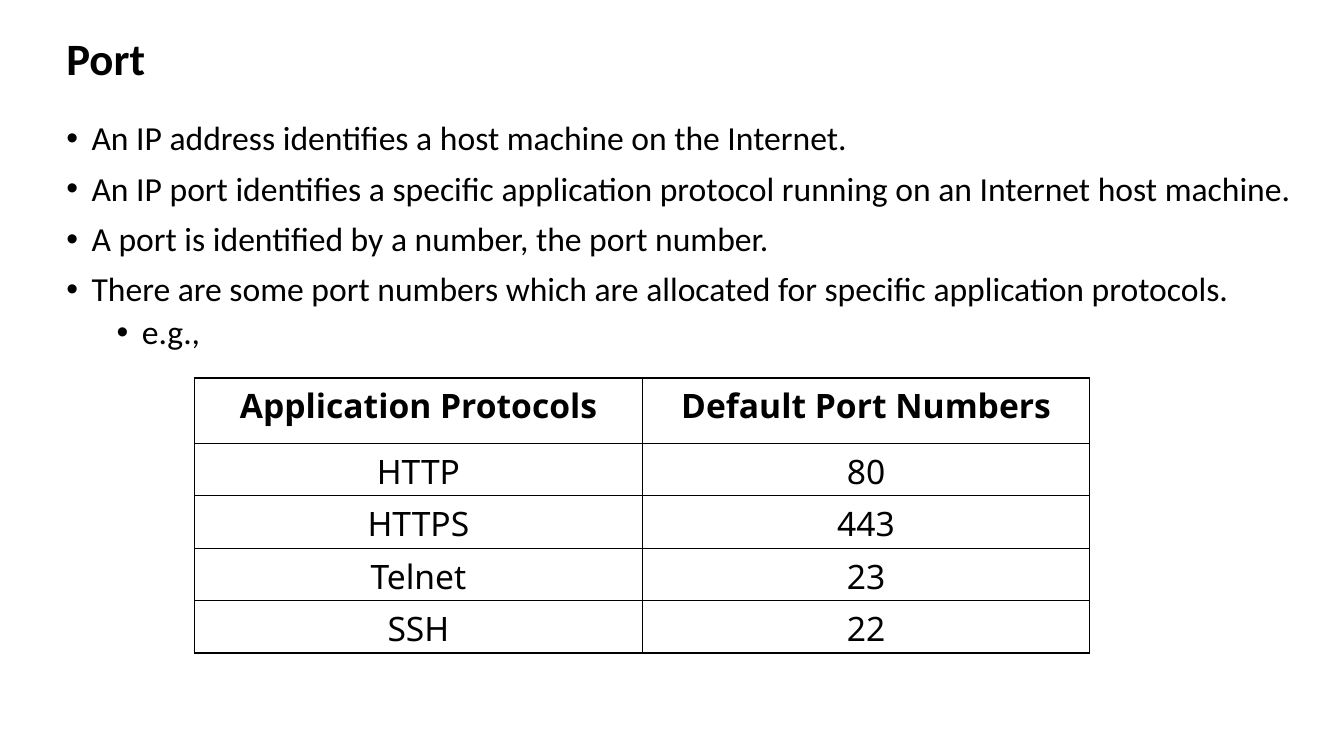
from dataclasses import dataclass

from lxml.etree import SubElement
from pptx import Presentation
from pptx.dml.color import RGBColor
from pptx.enum.text import MSO_ANCHOR, PP_ALIGN
from pptx.oxml import parse_xml
from pptx.oxml.ns import nsdecls, qn
from pptx.util import Inches, Pt


@dataclass(frozen=True)
class Theme:
    ink: str = "000000"
    paper: str = "FFFFFF"
    text_font: str = "Calibri"
    table_font: str = "Noto Sans"
    title_size: int = 32
    body_size: int = 24
    border_width: int = 1


theme = Theme()


def write(paragraph, text, font=theme.text_font, size=theme.body_size, bold=False,
          align=PP_ALIGN.LEFT, line_spacing=1.0, before=0, bullet_indent=None):
    paragraph.alignment = align
    paragraph.line_spacing = line_spacing
    paragraph.space_before = Pt(before)
    run = paragraph.add_run()
    run.text = text
    run.font.name = font
    run.font.size = Pt(size)
    run.font.bold = bold
    run.font.color.rgb = RGBColor.from_string(theme.ink)
    if bullet_indent is not None:
        properties = paragraph._p.get_or_add_pPr()
        properties.set("marL", str(Inches(bullet_indent)))
        properties.set("indent", str(Inches(-0.25)))
        SubElement(properties, qn("a:buFont"), typeface="Arial")
        SubElement(properties, qn("a:buChar"), char="•")


presentation = Presentation()
presentation.slide_width = Inches(13.33)
presentation.slide_height = Inches(7.5)
slide = presentation.slides.add_slide(presentation.slide_layouts[6])

# Title
title = slide.shapes.add_textbox(Inches(0.56), Inches(0.29), Inches(6.32), Inches(0.62)).text_frame
title.word_wrap = True
title.vertical_anchor = MSO_ANCHOR.MIDDLE
write(title.paragraphs[0], "Port", size=theme.title_size, bold=True, line_spacing=0.9)

# Explanation: level and text
points = [
    (0, "An IP address identifies a host machine on the Internet."),
    (0, "An IP port identifies a specific application protocol running on an Internet host machine."),
    (0, "A port is identified by a number, the port number."),
    (0, "There are some port numbers which are allocated for specific application protocols."),
    (1, "e.g.,"),
]
explanation = slide.shapes.add_textbox(Inches(0.56), Inches(1.16), Inches(12.5), Inches(4.07)).text_frame
explanation.word_wrap = True
for index, (level, point) in enumerate(points):
    paragraph = explanation.add_paragraph() if index else explanation.paragraphs[0]
    paragraph.level = level
    write(paragraph, point, line_spacing=0.9, before=5 if level else 10,
          bullet_indent=0.25 + 0.5 * level)

# Default ports
ports = [
    ("Application Protocols", "Default Port Numbers"),
    ("HTTP", "80"),
    ("HTTPS", "443"),
    ("Telnet", "23"),
    ("SSH", "22"),
]
port_table = slide.shapes.add_table(
    len(ports), 2, Inches(1.93), Inches(3.75), Inches(8.89), Inches(2.71)).table
port_table.horz_banding = False
for column in port_table.columns:
    column.width = Inches(4.44)
for row_index, entries in enumerate(ports):
    is_header = row_index == 0
    port_table.rows[row_index].height = Inches(0.65 if is_header else 0.52)
    for column_index, entry in enumerate(entries):
        cell = port_table.cell(row_index, column_index)
        cell.fill.solid()
        cell.fill.fore_color.rgb = RGBColor.from_string(theme.paper)
        write(cell.text_frame.paragraphs[0], entry, font=theme.table_font,
              bold=is_header, align=PP_ALIGN.CENTER)
        # Borders precede the fill in the cell properties
        for position, edge in enumerate(("lnL", "lnR", "lnT", "lnB")):
            border = parse_xml(
                f'<a:{edge} {nsdecls("a")} w="{Pt(theme.border_width)}"><a:solidFill>'
                f'<a:srgbClr val="{theme.ink}"/></a:solidFill></a:{edge}>')
            cell._tc.get_or_add_tcPr().insert(position, border)

presentation.save("out.pptx")
